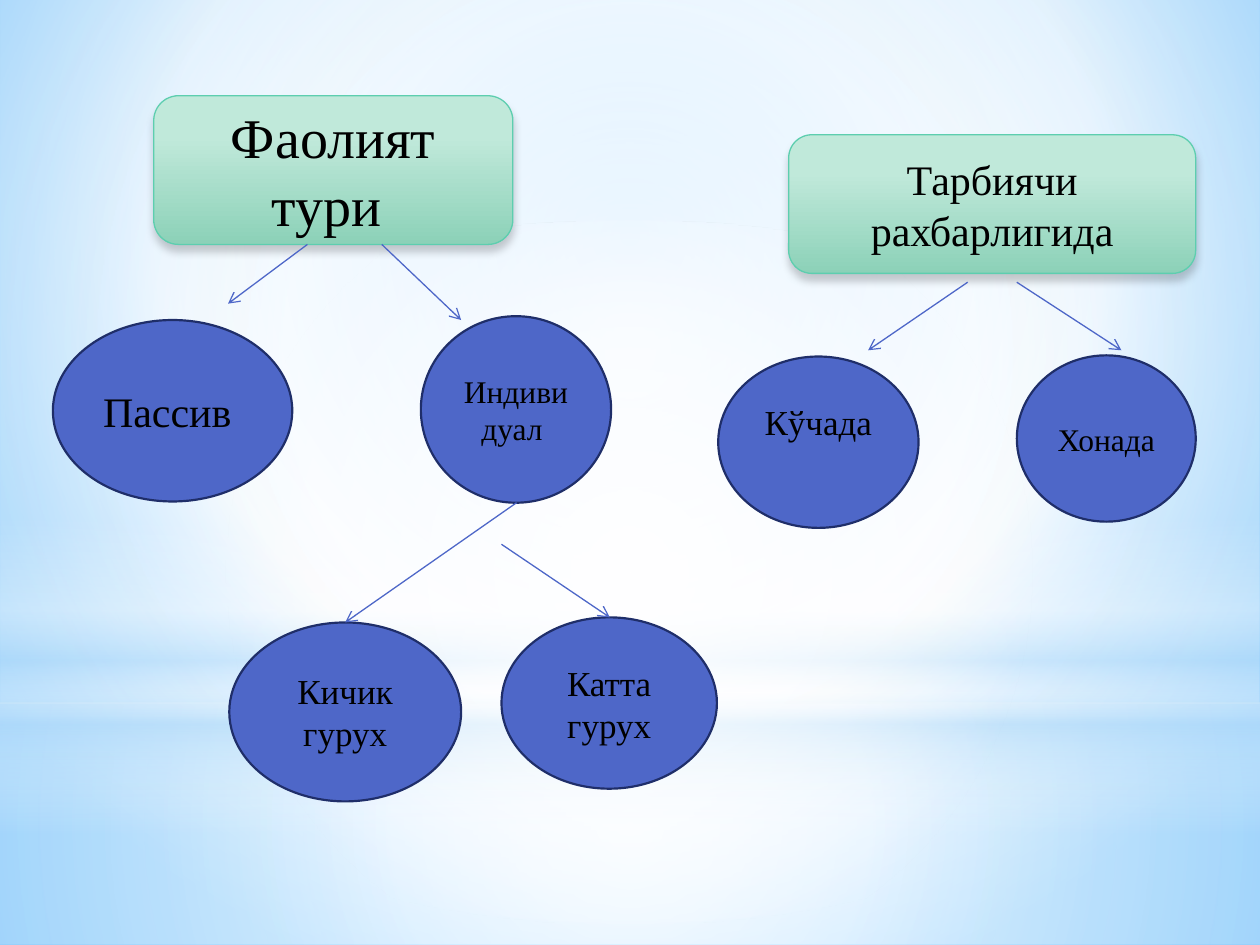
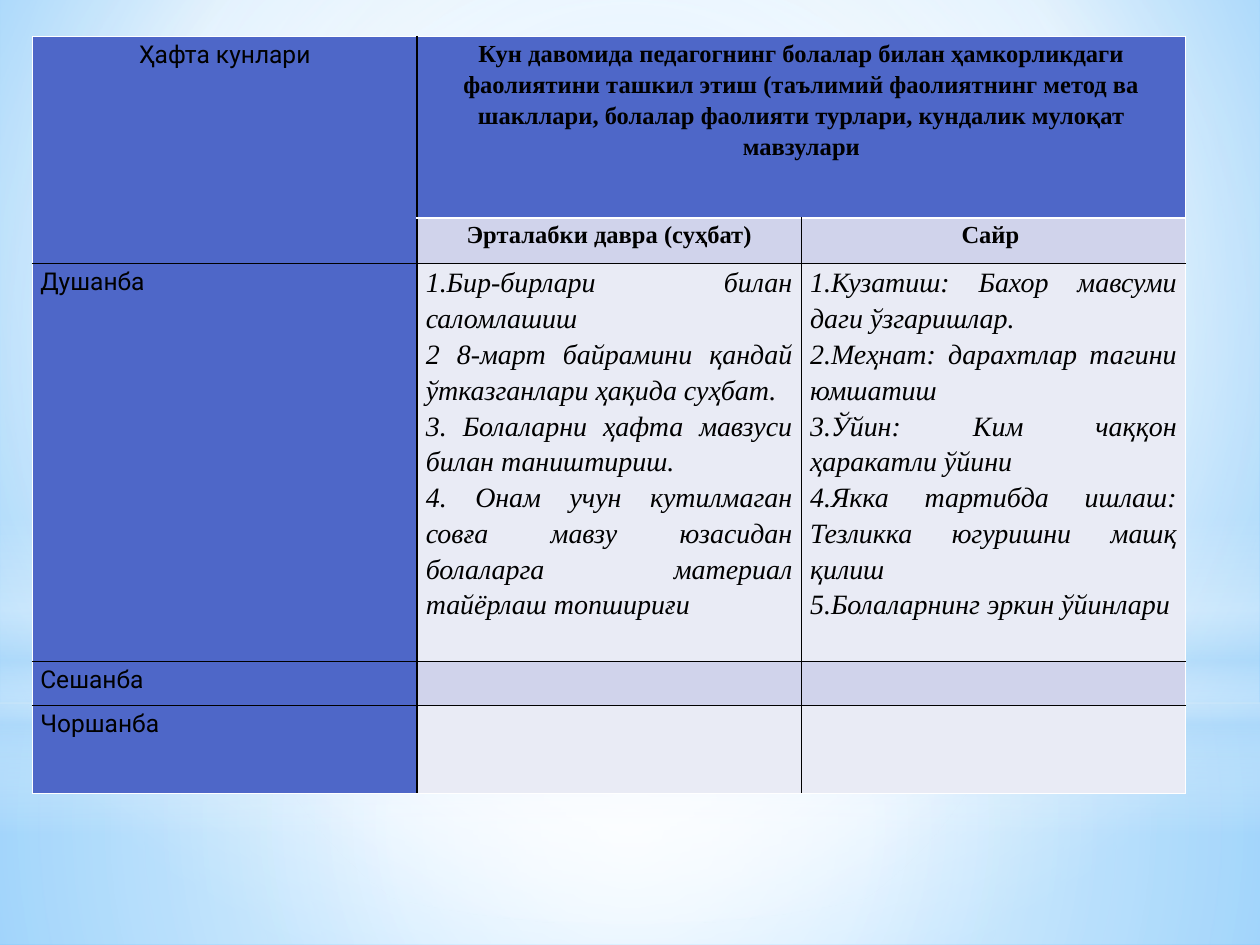
from lxml.etree import SubElement as Sub
from pptx import Presentation
from pptx.dml.color import RGBColor as Rgb
from pptx.enum.shapes import MSO_CONNECTOR as Link, MSO_SHAPE as Form
from pptx.enum.text import MSO_ANCHOR as Anchor, PP_ALIGN as Align
from pptx.oxml.ns import qn
from pptx.util import Inches, Pt

HUES = {
    "blue": "4E67C8", "navy": "1F2E69", "green": "5DCEAF",
    "mint": "C0E9DA", "sage": "8CD1B8", "black": "000000",
    "white": "FFFFFF", "sky": "B4DCFA", "pale": "9ED5FF",
    "azure": "5BB9FF", "lilac": "D0D3EB", "mist": "E9EBF5",
}
SERIF, SANS = "Times New Roman", "Roboto"
MID = (50, 50, 50, 50)
BANDS = [
    (Form.RECTANGLE, (0, 5.58, 10, 1.92), MID,
     [(0, "white", 91), (37, "white", 76), (100, "sky", 79)]),
    (Form.RECTANGLE, (0, 0, 10, 5.58), MID,
     [(0, "white", 89), (48, "white", 62), (100, "sky", 79)]),
    (Form.RECTANGLE, (0, 4.12, 10, 2.5), None,
     [(0, "white", 0), (29, "white", 30), (45, "sky", 40),
      (55, "white", 26), (65, "sky", 60), (100, "white", 0)]),
    (Form.OVAL, (0, 1.75, 10, 5.58), MID,
     [(0, "white", 100), (56, "white", 0)]),
]
NODES = [
    ("Пассив ", 24, (0.42, 2.54, 1.9, 1.44)),
    ("Индивидуал ", 18, (3.34, 2.51, 1.51, 1.48)),
    ("Катта гурух", 20, (3.98, 4.9, 1.71, 1.36)),
    ("Кичик гурух", 20, (1.82, 4.94, 1.84, 1.42)),
    ("Кўчада", 20, (5.7, 2.83, 1.59, 1.36)),
    ("Хонада ", 18, (8.07, 2.82, 1.42, 1.32)),
]
CARDS = [
    ("Фаолият тури ", 32, (1.22, 0.76, 2.85, 1.18)),
    ("Тарбиячи рахбарлигида", 24, (6.26, 1.07, 3.23, 1.1)),
]
ARROWS = [
    (2.44, 1.94, 1.81, 2.41), (3.03, 1.94, 3.66, 2.54),
    (4.1, 3.99, 2.74, 4.94), (3.98, 4.32, 4.84, 4.9),
    (7.68, 2.24, 6.89, 2.78), (8.07, 2.24, 8.9, 2.78),
]
ROWS = [1.44, 0.36, 3.16, 0.35, 0.7]
DAY = {"name": SANS, "size": Pt(14), "bold": False}
HEAD = {"name": SERIF, "size": Pt(14), "bold": True}
PLAN = {"name": SERIF, "size": Pt(16), "italic": True, "bold": False}
CELLS = {
    (0, 0): (["Ҳафта кунлари"], DAY, Align.CENTER),
    (0, 1): (["Кун давомида педагогнинг болалар билан ҳамкорликдаги "
              "фаолиятини ташкил этиш (таълимий фаолиятнинг метод ва "
              "шакллари, болалар фаолияти турлари, кундалик мулоқат "
              "мавзулари"], HEAD, Align.CENTER),
    (1, 1): (["Эрталабки давра (суҳбат)"], HEAD, Align.CENTER),
    (1, 2): (["Сайр "], HEAD, Align.CENTER),
    (2, 0): (["Душанба"], DAY, Align.JUSTIFY),
    (2, 1): (["1.Бир-бирлари билан саломлашиш",
              "2 8-март байрамини қандай ўтказганлари ҳақида суҳбат.",
              "3. Болаларни ҳафта мавзуси билан таништириш.",
              "4. Онам учун кутилмаган совға мавзу юзасидан болаларга "
              "материал тайёрлаш топшириғи"], PLAN, Align.JUSTIFY),
    (2, 2): (["1.Кузатиш: Бахор мавсуми даги ўзгаришлар.",
              "2.Меҳнат: дарахтлар тагини юмшатиш",
              "3.Ўйин: Ким чаққон ҳаракатли ўйини",
              "4.Якка тартибда ишлаш: Тезликка югуришни машқ қилиш",
              "5.Болаларнинг эркин ўйинлари"], PLAN, Align.JUSTIFY),
    (3, 0): (["Сешанба"], DAY, Align.JUSTIFY),
    (4, 0): (["Чоршанба"], DAY, Align.JUSTIFY),
}


def hue(name):
    return Rgb.from_string(HUES[name])


def style(item, form):
    for key, value in form.items():
        setattr(item, key, value)


def add(box, tag, **attrs):
    return Sub(box, qn(tag), {key: str(val) for key, val in attrs.items()})


def tint(box, name, alpha=100):
    clr = add(box, "a:srgbClr", val=HUES[name])
    if alpha < 100:
        add(clr, "a:alpha", val=alpha * 1000)


def grad(box, stops, focus=None):
    old = box.find(qn("a:solidFill"))
    new = add(box, "a:gradFill", rotWithShape=1)
    stop_list = add(new, "a:gsLst")
    for pos, name, alpha in stops:
        tint(add(stop_list, "a:gs", pos=pos * 1000), name, alpha)
    if focus:
        edge = {key: val * 1000 for key, val in zip("ltrb", focus)}
        add(add(new, "a:path", path="circle"), "a:fillToRect", **edge)
    else:
        add(new, "a:lin", ang=5400000, scaled=0)
    box.replace(old, new)


def shape(slide, form, spot, fill, line=None, width=0):
    item = slide.shapes.add_shape(form, *map(Inches, spot))
    item.fill.solid()
    item.fill.fore_color.rgb = hue(fill)
    if line:
        item.line.color.rgb = hue(line)
        item.line.width = Pt(width)
    else:
        item.line.fill.background()
    item.shadow.inherit = False
    return item


def write(frame, lines, form, align, gap=1.0):
    for num, line in enumerate(lines):
        para = frame.paragraphs[0] if num == 0 else frame.add_paragraph()
        style(para, {"alignment": align, "line_spacing": gap})
        run = para.add_run()
        run.text = line
        style(run.font, form)
        run.font.color.rgb = hue("black")


def label(item, text, size):
    frame = item.text_frame
    style(frame, {"word_wrap": True, "vertical_anchor": Anchor.MIDDLE})
    write(frame, [text], {"name": SERIF, "size": Pt(size)}, Align.CENTER)


def node(slide, text, size, spot):
    item = shape(slide, Form.OVAL, spot, "blue", "navy", 1.25)
    label(item, text, size)
    return item


def card(slide, text, size, spot):
    item = shape(slide, Form.ROUNDED_RECTANGLE, spot, "mint", "green", 0.75)
    props = item.element.spPr
    grad(props, [(28, "mint", 100), (100, "sage", 100)])
    shade = add(props.find(qn("a:effectLst")), "a:outerShdw", blurRad=Pt(5),
                dist=Pt(4), dir=5400000, rotWithShape=0)
    tint(shade, "black", 20)
    label(item, text, size)


def arrow(slide, ends):
    item = slide.shapes.add_connector(Link.STRAIGHT, *map(Inches, ends))
    item.line.color.rgb = hue("blue")
    item.line.width = Pt(0.75)
    props = item.element.spPr
    add(props.find(qn("a:ln")), "a:tailEnd", type="arrow")
    add(props, "a:effectLst")


def border(cell, row, col):
    last = row + cell.span_height if cell.is_merge_origin else row + 1
    far = col + cell.span_width if cell.is_merge_origin else col + 1
    outer = {
        "L": col == 0,
        "R": far == 3,
        "T": row == 0 or (row == 1 and col > 0),
        "B": last == len(ROWS) or (row == 0 and col > 0),
    }
    props = cell._tc.get_or_add_tcPr()
    for side, white in outer.items():
        line = add(props, f"a:ln{side}", w=Pt(1))
        tint(add(line, "a:solidFill"), "white" if white else "black")


def grid(slide):
    spot = map(Inches, (0.26, 0.29, 9.15, sum(ROWS)))
    table = slide.shapes.add_table(len(ROWS), 3, *spot).table
    for col in table.columns:
        col.width = Inches(3.05)
    for row, high in zip(table.rows, ROWS):
        row.height = Inches(high)
    table.cell(0, 0).merge(table.cell(1, 0))
    table.cell(0, 1).merge(table.cell(0, 2))
    for row in range(len(ROWS)):
        for col in range(3):
            cell = table.cell(row, col)
            if cell.is_spanned:
                continue
            lines, form, align = CELLS.get((row, col), ([], {}, None))
            side = Inches(0.07 if form is PLAN else 0.06)
            style(cell, {"margin_left": side, "margin_right": side,
                         "margin_top": 0, "margin_bottom": 0})
            border(cell, row, col)
            band = "lilac" if row % 2 else "mist"
            cell.fill.solid()
            cell.fill.fore_color.rgb = hue("blue" if 0 in (row, col) else band)
            write(cell.text_frame, lines, form, align, 1.15)


def page(deck):
    slide = deck.slides.add_slide(deck.slide_layouts[6])
    slide.background.fill.solid()
    back = slide.element.find(".//" + qn("p:bgPr"))
    grad(back, [(0, "pale", 100), (60, "white", 100), (100, "azure", 100)],
         (20, 10, 20, 60))
    for form, spot, focus, stops in BANDS:
        band = shape(slide, form, spot, "white")
        grad(band.element.spPr, stops, focus)
    return slide


def main():
    deck = Presentation()
    style(deck, {"slide_width": Inches(10), "slide_height": Inches(7.5)})
    tree = page(deck)
    for text, size, spot in NODES:
        item = node(tree, text, size, spot)
        if text == "Кўчада":
            item.text_frame.margin_bottom = Inches(0.37)
    for text, size, spot in CARDS:
        card(tree, text, size, spot)
    for ends in ARROWS:
        arrow(tree, ends)
    grid(page(deck))
    deck.save("out.pptx")


if __name__ == "__main__":
    main()
